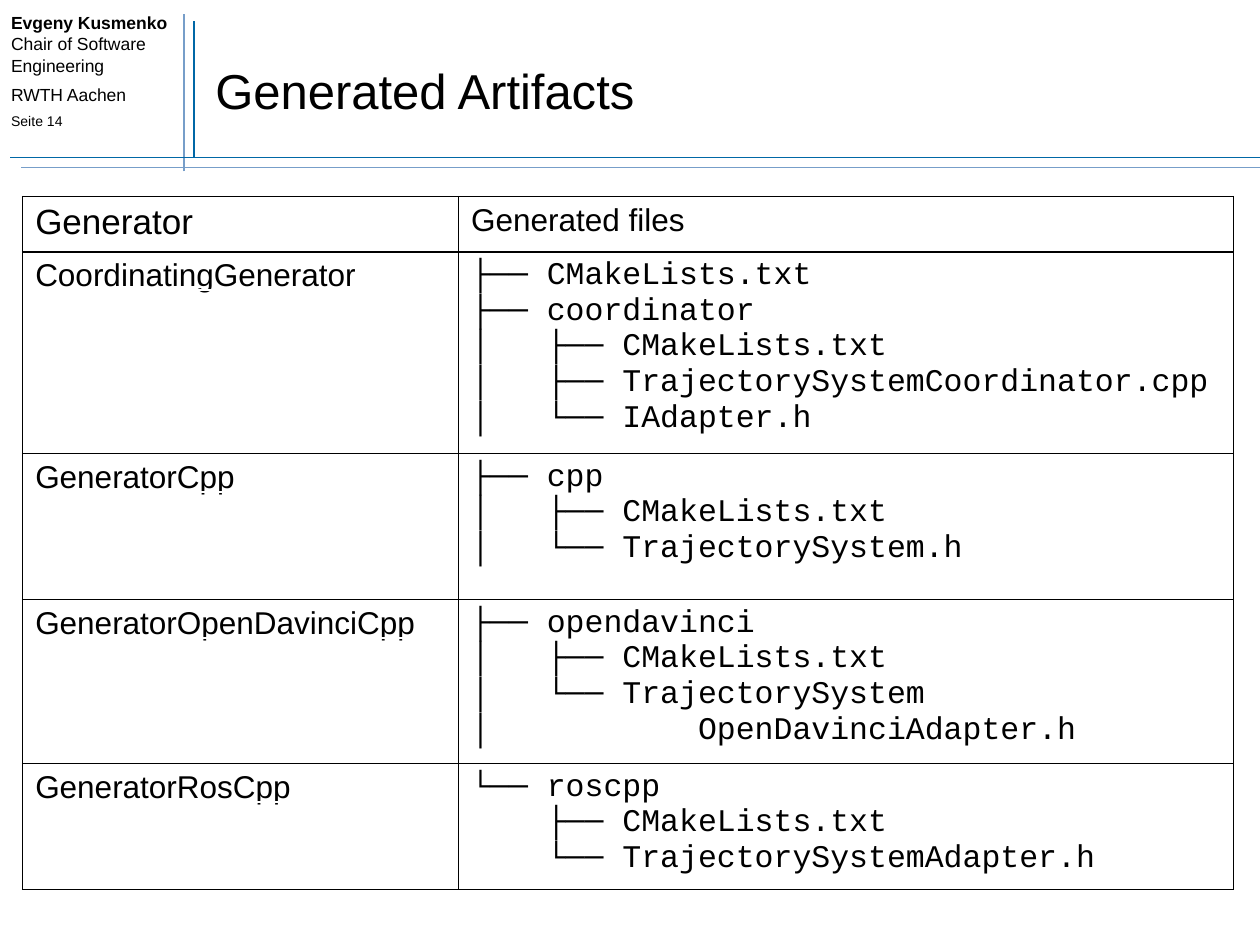
import pptx
import pptx.dml.color
import pptx.enum.shapes
import pptx.enum.text
import pptx.oxml
import pptx.oxml.ns
import pptx.util
from lxml import etree

WIDTH, HEIGHT = 10, 7.5
BLACK, WHITE, DARK_BLUE, LIGHT_BLUE = "000000", "FFFFFF", "0067A6", "779EC9"
SANS, MONO = "Arial", "Courier New"

TITLE = "Generated Artifacts"
# Paragraphs of (space before, size, [(text, bold), ...]); runs sit on separate lines
AUTHOR = [
    (0, 10, [("Evgeny Kusmenko", True), ("Chair of Software Engineering", False)]),
    (5, 10, [("RWTH Aachen", False)]),
    (4, 8, [("Seite 14", False)]),
]
RULES = [  # (start, end, colour)
    ((1.54, 1.25), (1.54, 0.17), DARK_BLUE),
    ((1.46, 1.36), (1.46, 0.11), LIGHT_BLUE),
    ((0.08, 1.25), (WIDTH, 1.25), DARK_BLUE),
    ((0.17, 1.33), (WIDTH, 1.33), LIGHT_BLUE),
]
HEADINGS = [("Generator", 20), ("Generated files", 18)]
GENERATORS = [
    ("CoordinatingGenerator", [
        "├── CMakeLists.txt",
        "├── coordinator",
        "│   ├── CMakeLists.txt",
        "│   ├── TrajectorySystemCoordinator.cpp",
        "│   └── IAdapter.h",
    ]),
    ("GeneratorCpp", [
        "├── cpp",
        "│   ├── CMakeLists.txt",
        "│   └── TrajectorySystem.h",
    ]),
    ("GeneratorOpenDavinciCpp", [
        "├── opendavinci",
        "│   ├── CMakeLists.txt",
        "│   └── TrajectorySystem",
        "│           OpenDavinciAdapter.h",
    ]),
    ("GeneratorRosCpp", [
        "└── roscpp",
        "    ├── CMakeLists.txt",
        "    └── TrajectorySystemAdapter.h",
    ]),
]
TABLE_LEFT, TABLE_TOP = 0.18, 1.56
COLUMN_WIDTHS = [3.46, 6.15]
ROW_HEIGHTS = [0.44, 1.52, 1.16, 1.23, 0.95]


def inches(*values):
    return [pptx.util.Inches(value) for value in values]


def color(hex_string):
    return pptx.dml.color.RGBColor.from_string(hex_string)


def add_run(paragraph, text, size, font=SANS, bold=False):
    run = paragraph.add_run()
    run.text = text
    run.font.name = font
    run.font.size = pptx.util.Pt(size)
    run.font.bold = bold
    run.font.color.rgb = color(BLACK)
    return run


def underline(run, hex_string):
    """Underline a run in a colour of its own."""
    run.font.underline = True
    line_fill = pptx.oxml.parse_xml(
        f'<a:uFill {pptx.oxml.ns.nsdecls("a")}><a:solidFill>'
        f'<a:srgbClr val="{hex_string}"/></a:solidFill></a:uFill>')
    properties = run.font._element
    properties.find(pptx.oxml.ns.qn("a:solidFill")).addnext(line_fill)


def add_rule(slide, start, end, hex_string):
    rule = slide.shapes.add_connector(
        pptx.enum.shapes.MSO_CONNECTOR.STRAIGHT, *inches(*start, *end))
    rule.line.color.rgb = color(hex_string)
    rule.line.width = pptx.util.Pt(1)
    etree.SubElement(rule._element.spPr, pptx.oxml.ns.qn("a:effectLst"))


def format_cell(cell):
    """Clear the fill and draw a thin black border on all sides."""
    cell.fill.background()
    properties = cell._tc.get_or_add_tcPr()
    for index, side in enumerate(("lnL", "lnR", "lnT", "lnB")):
        properties.insert(index, pptx.oxml.parse_xml(
            f'<a:{side} {pptx.oxml.ns.nsdecls("a")} w="12700"><a:solidFill>'
            f'<a:srgbClr val="{BLACK}"/></a:solidFill></a:{side}>'))


def add_title(slide):
    title = slide.shapes.title
    title.left, title.top, title.width, title.height = inches(1.61, 0.25, 8.27, 0.92)
    title.text_frame.vertical_anchor = pptx.enum.text.MSO_ANCHOR.MIDDLE
    paragraph = title.text_frame.paragraphs[0]
    paragraph.alignment = pptx.enum.text.PP_ALIGN.LEFT
    add_run(paragraph, TITLE, 28)


def add_author(slide):
    frame = slide.shapes.add_textbox(*inches(-0.01, 0.05, 1.53, 1.06)).text_frame
    frame.word_wrap = True
    for index, (space, size, runs) in enumerate(AUTHOR):
        paragraph = frame.add_paragraph() if index else frame.paragraphs[0]
        paragraph.space_before = pptx.util.Pt(space)
        for position, (text, bold) in enumerate(runs):
            if position:
                paragraph.add_line_break()
            add_run(paragraph, text, size, bold=bold)


def add_generator_table(slide):
    table = slide.shapes.add_table(
        len(ROW_HEIGHTS), len(COLUMN_WIDTHS),
        *inches(TABLE_LEFT, TABLE_TOP, sum(COLUMN_WIDTHS), sum(ROW_HEIGHTS))).table
    table.first_row = table.horz_banding = False
    for column, width in zip(table.columns, COLUMN_WIDTHS):
        column.width = pptx.util.Inches(width)
    for row, height in zip(table.rows, ROW_HEIGHTS):
        row.height = pptx.util.Inches(height)
    for cell in table.iter_cells():
        format_cell(cell)

    for column, (text, size) in enumerate(HEADINGS):
        add_run(table.cell(0, column).text_frame.paragraphs[0], text, size)
    for row, (generator, files) in enumerate(GENERATORS, start=1):
        name = add_run(table.cell(row, 0).text_frame.paragraphs[0], generator, 18)
        underline(name, WHITE)
        frame = table.cell(row, 1).text_frame
        for index, line in enumerate(files):
            paragraph = frame.add_paragraph() if index else frame.paragraphs[0]
            add_run(paragraph, line, 18, MONO)


def main():
    presentation = pptx.Presentation()
    presentation.slide_width, presentation.slide_height = inches(WIDTH, HEIGHT)
    slide = presentation.slides.add_slide(presentation.slide_layouts[5])
    add_author(slide)
    for start, end, hex_string in RULES:
        add_rule(slide, start, end, hex_string)
    add_title(slide)
    add_generator_table(slide)
    presentation.save("out.pptx")


if __name__ == "__main__":
    main()
